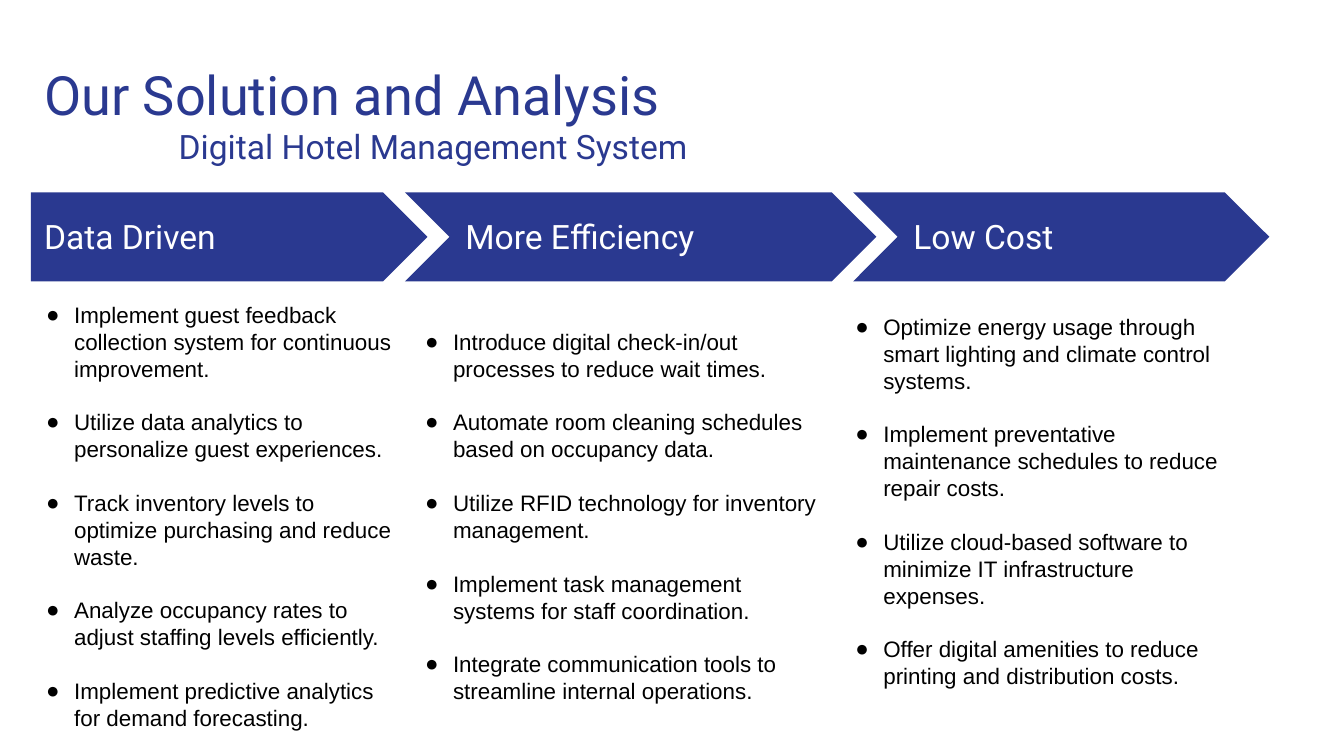
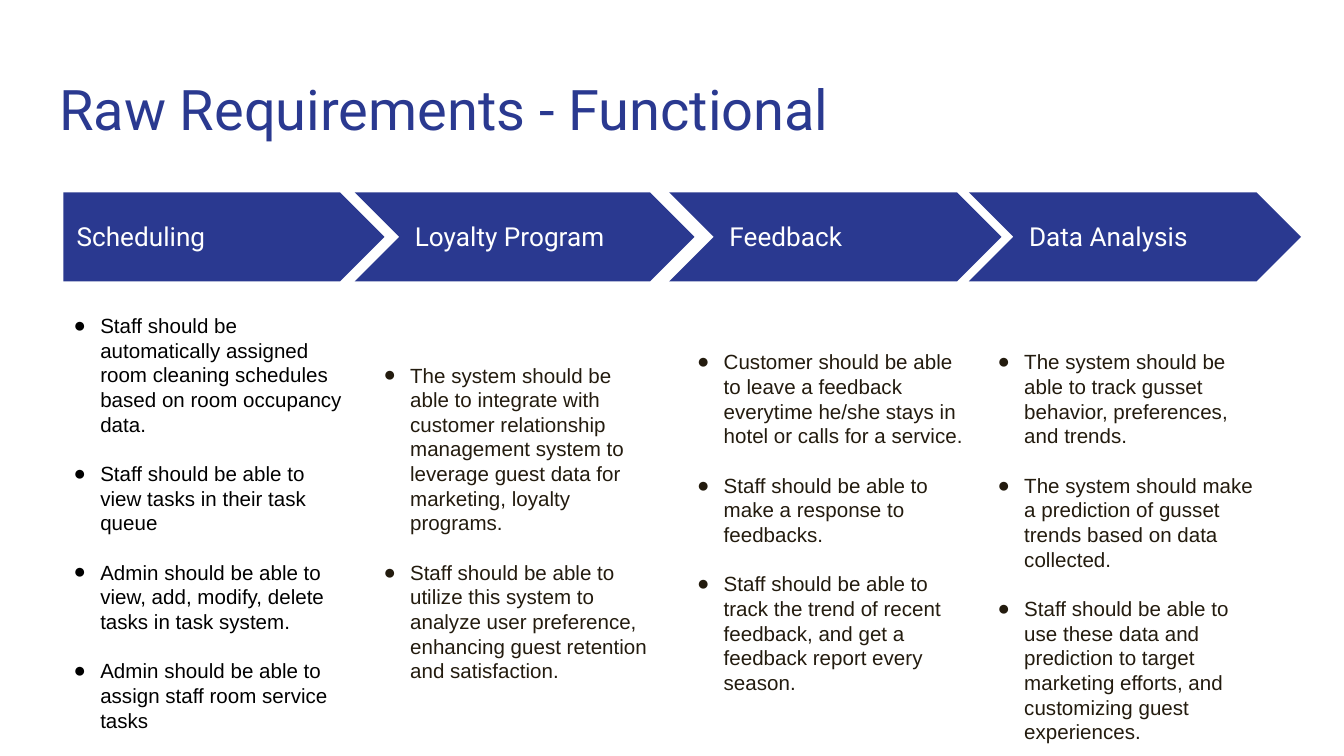
from pptx import Presentation
from pptx.dml.color import RGBColor
from pptx.enum.shapes import MSO_SHAPE
from pptx.enum.text import MSO_ANCHOR, MSO_AUTO_SIZE, PP_ALIGN
from pptx.oxml.ns import qn
from pptx.util import Pt
from lxml import etree

BLUE = RGBColor(0x2A, 0x39, 0x90)
WHITE = RGBColor(0xFF, 0xFF, 0xFF)
BLACK = RGBColor(0x00, 0x00, 0x00)
BROWN = RGBColor(0x23, 0x1B, 0x0E)
PENTAGON, CHEVRON = MSO_SHAPE.PENTAGON, MSO_SHAPE.CHEVRON
TOP, MIDDLE = MSO_ANCHOR.TOP, MSO_ANCHOR.MIDDLE
LEFT, FIXED = PP_ALIGN.LEFT, MSO_AUTO_SIZE.NONE

COMPARE = 4  # layout with a title and four body placeholders
INSET = 7.2
BAND_TOP, BAND_HIGH = 103, 47.75
HEAD_TOP, HEAD_HIGH, HEAD_PAD = 114.5, 24.5, 25.2
LIST_LEFT = 22.5

# Each column: heading, arrow (left, width), list box, colour, list items
SOLUTION = [
    ("Data Driven", (16.5, 212.5), (10, 154, 212.5, 247), BLACK, [
        "Implement guest feedback collection system for continuous improvement.",
        "Utilize data analytics to personalize guest experiences.",
        "Track inventory levels to optimize purchasing and reduce waste.",
        "Analyze occupancy rates to adjust staffing levels efficiently.",
        "Implement predictive analytics for demand forecasting.",
    ]),
    ("More Efficiency", (217, 252.5), (213, 168.5, 234.5, 218), BLACK, [
        "Introduce digital check-in/out processes to reduce wait times.",
        "Automate room cleaning schedules based on occupancy data.",
        "Utilize RFID technology for inventory management.",
        "Implement task management systems for staff coordination.",
        "Integrate communication tools to streamline internal operations.",
    ]),
    ("Low Cost", (457, 223), (443.5, 160.5, 223, 218), BLACK, [
        "Optimize energy usage through smart lighting and climate control systems.",
        "Implement preventative maintenance schedules to reduce repair costs.",
        "Utilize cloud-based software to minimize IT infrastructure expenses.",
        "Offer digital amenities to reduce printing and distribution costs.",
    ]),
]
NEEDS = [
    ("Scheduling", (34, 172), (24, 160.5, 167, 241), BLACK, [
        "Staff should be automatically assigned room cleaning schedules "
        "based on room occupancy data.",
        "Staff should be able to view tasks in their task queue",
        "Admin should be able to view, add, modify, delete tasks in task system.",
        "Admin should be able to assign staff room service tasks",
    ]),
    ("Loyalty Program", (190, 182), (190, 187, 167, 188), BROWN, [
        "The system should be able to integrate with customer relationship "
        "management system to leverage guest data for marketing, loyalty programs.",
        "Staff should be able to utilize this system to analyze user preference, "
        "enhancing guest retention and satisfaction.",
    ]),
    ("Feedback", (358.5, 178), (358, 180, 167, 201), BROWN, [
        "Customer should be able to leave a feedback everytime he/she stays "
        "in hotel or calls for a service.",
        "Staff should be able to make a response to feedbacks.",
        "Staff should be able to track the trend of recent feedback, "
        "and get a feedback report every season.",
    ]),
    ("Data Analysis", (519, 178), (519, 180, 167, 214.5), BROWN, [
        "The system should be able to track gusset behavior, preferences, and trends.",
        "The system should make a prediction of gusset trends based on data collected.",
        "Staff should be able to use these data and prediction to target "
        "marketing efforts, and customizing guest experiences.",
    ]),
]


def apply(target, values):
    for name, value in values.items():
        setattr(target, name, value)


def place(shape, box):
    names = ("left", "top", "width", "height")
    apply(shape, dict(zip(names, map(Pt, box))))


def set_frame(shape, anchor):
    """Prepare the text frame and return it."""
    frame = shape.text_frame
    sides = ("left", "top", "right", "bottom")
    apply(frame, {f"margin_{side}": Pt(INSET) for side in sides})
    apply(frame, {"word_wrap": True, "auto_size": FIXED,
                  "vertical_anchor": anchor})
    return frame


def add_para(frame, text, font, size, colour):
    """Write into the first empty paragraph, or into a new one."""
    para = frame.paragraphs[0]
    if para.runs:
        para = frame.add_paragraph()
    apply(para, {"alignment": LEFT, "space_before": Pt(0)})
    run = para.add_run()
    run.text = text
    apply(run.font, {"name": font, "size": Pt(size), "bold": False})
    run.font.color.rgb = colour
    return para


def indent(para, left, first):
    props = para._p.get_or_add_pPr()
    props.set("marL", str(Pt(left)))
    props.set("indent", str(Pt(first)))
    return props


def add_bullet(para, hang, colour):
    props = indent(para, LIST_LEFT, -hang)
    tint = etree.SubElement(props, qn("a:buClr"))
    etree.SubElement(tint, qn("a:srgbClr"), val=str(colour))
    etree.SubElement(props, qn("a:buFont"), typeface="Arial")
    etree.SubElement(props, qn("a:buChar"), char="●")


def fill_title(slide, box, text, size, subtitle=None):
    title = slide.shapes.title
    place(title, box)
    frame = set_frame(title, TOP)
    add_para(frame, text, "Roboto", size, BLUE)
    if subtitle:
        indent(add_para(frame, subtitle, "Roboto", 18, BLUE), 36, 36)


def add_arrow(slide, kind, left, width):
    arrow = slide.shapes.add_shape(
        kind, Pt(left), Pt(BAND_TOP), Pt(width), Pt(BAND_HIGH))
    arrow.shadow.inherit = False
    arrow.fill.solid()
    arrow.fill.fore_color.rgb = BLUE
    arrow.line.fill.background()


def add_head(slide, text, left, width, size):
    box = slide.shapes.add_textbox(
        Pt(left), Pt(HEAD_TOP), Pt(width), Pt(HEAD_HIGH))
    add_para(set_frame(box, MIDDLE), text, "Roboto", size, WHITE)


def fill_list(holder, box, items, size, hang, colour):
    place(holder, box)
    frame = set_frame(holder, TOP)
    pitch = Pt(1.2 * size)
    for num, item in enumerate(items):
        para = add_para(frame, item, "Arial", size, colour)
        add_bullet(para, hang, colour)
        apply(para, {"line_spacing": pitch,
                     "space_before": pitch if num else Pt(0)})


def add_columns(slide, columns, head_size, head_width, size, hang):
    """Draw the arrow band with a list under each arrow."""
    bodies = [h for h in slide.placeholders if h.placeholder_format.idx > 0]
    for num, (head, (left, width), box, colour, items) in enumerate(columns):
        add_arrow(slide, CHEVRON if num else PENTAGON, left, width)
        pad = HEAD_PAD if num else 0
        add_head(slide, head, left + pad, head_width, head_size)
        fill_list(bodies[num], box, items, size, hang, colour)
    for spare in bodies[len(columns):]:
        spare.element.getparent().remove(spare.element)


def main():
    deck = Presentation()
    apply(deck, {"slide_width": Pt(720), "slide_height": Pt(405)})
    layout = deck.slide_layouts[COMPARE]

    slide = deck.slides.add_slide(layout)
    fill_title(slide, (16.5, 25.5, 644.5, 67.5), "Our Solution and Analysis",
               29, "Digital Hotel Management System")
    add_columns(slide, SOLUTION, 18, 178, 12, 15)

    slide = deck.slides.add_slide(layout)
    fill_title(slide, (24.5, 32.5, 671, 47.5),
               "Raw Requirements - Functional", 30)
    add_columns(slide, NEEDS, 14, 147, 11, 14.25)

    deck.save("out.pptx")


if __name__ == "__main__":
    main()
